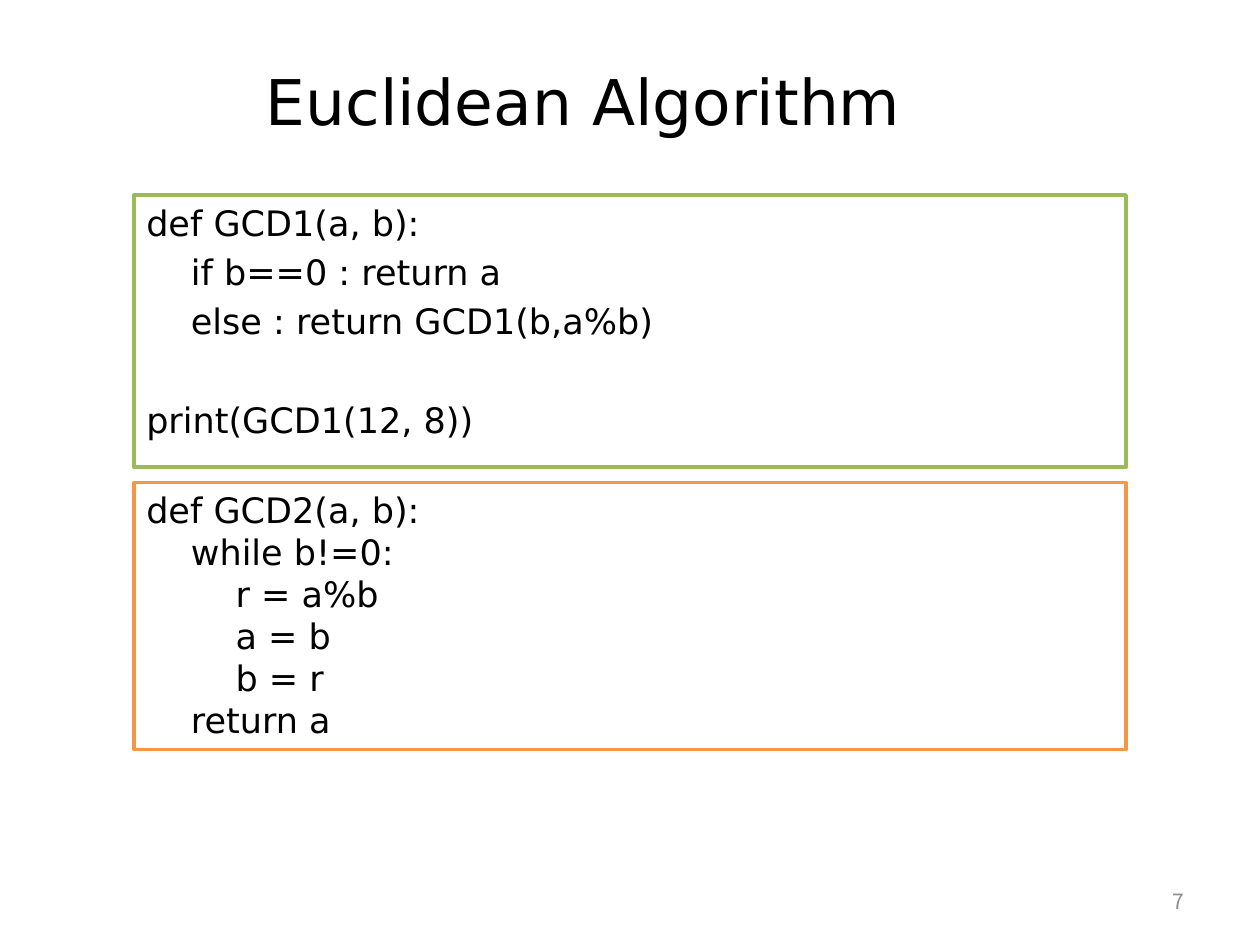
from pptx import Presentation
from pptx.dml.color import RGBColor
from pptx.enum import shapes, text
from pptx.util import Cm, Pt

SANS = "DejaVu Sans"
INDENT = Cm(0.9)
LINE_PITCH = 24


def colour(value):
    return RGBColor.from_string(value)


def add_span(para, words, size, font=SANS, ink="000000"):
    span = para.add_run()
    span.text = words
    span.font.size = Pt(size)
    span.font.name = font
    span.font.color.rgb = colour(ink)


def add_label(page, box, words, size, align, font=SANS, ink="000000"):
    label = page.shapes.add_textbox(*(Cm(length) for length in box))
    frame = label.text_frame
    frame.word_wrap = True
    frame.vertical_anchor = text.MSO_ANCHOR.MIDDLE
    para = frame.paragraphs[0]
    para.alignment = align
    add_span(para, words, size, font, ink)


def add_code(page, box, border, lines, gap=0):
    panel = page.shapes.add_shape(
        shapes.MSO_SHAPE.RECTANGLE, *(Cm(length) for length in box))
    panel.shadow.inherit = False
    panel.fill.solid()
    panel.fill.fore_color.rgb = colour("FFFFFF")
    panel.line.color.rgb = colour(border)
    panel.line.width = Pt(2)
    frame = panel.text_frame
    frame.word_wrap = True
    frame.vertical_anchor = text.MSO_ANCHOR.TOP
    for index, (level, skipped, words) in enumerate(lines):
        para = frame.add_paragraph() if index else frame.paragraphs[0]
        para.alignment = text.PP_ALIGN.LEFT
        para.line_spacing = Pt(LINE_PITCH)
        before = gap + skipped * (LINE_PITCH + gap) if index else 0
        para.space_before = Pt(before)
        properties = para._p.get_or_add_pPr()
        properties.set("marL", str(level * INDENT))
        properties.set("indent", "0")
        add_span(para, words, 20)


def main():
    deck = Presentation()
    deck.slide_width, deck.slide_height = Cm(25.4), Cm(19.05)
    page = deck.slides.add_slide(deck.slide_layouts[6])
    add_label(page, (5.11, 0.74, 17.93, 2.57), "Euclidean Algorithm", 36,
              text.PP_ALIGN.LEFT)
    add_code(page, (2.7, 3.93, 20, 5.49), "9BBB59", [
        (0, 0, "def GCD1(a, b):"),
        (1, 0, "if b==0 : return a"),
        (1, 0, "else : return GCD1(b,a%b)"),
        (0, 1, "print(GCD1(12, 8))"),
    ], gap=4.2)
    add_code(page, (2.7, 9.73, 20, 5.38), "F79646", [
        (0, 0, "def GCD2(a, b):"),
        (1, 0, "while b!=0:"),
        (2, 0, "r = a%b"),
        (2, 0, "a = b"),
        (2, 0, "b = r"),
        (1, 0, "return a"),
    ])
    add_label(page, (18.21, 17.65, 5.92, 1.02), "7", 12,
              text.PP_ALIGN.RIGHT, "Noto Sans CJK KR", "8C8C8C")
    deck.save("out.pptx")


if __name__ == "__main__":
    main()
